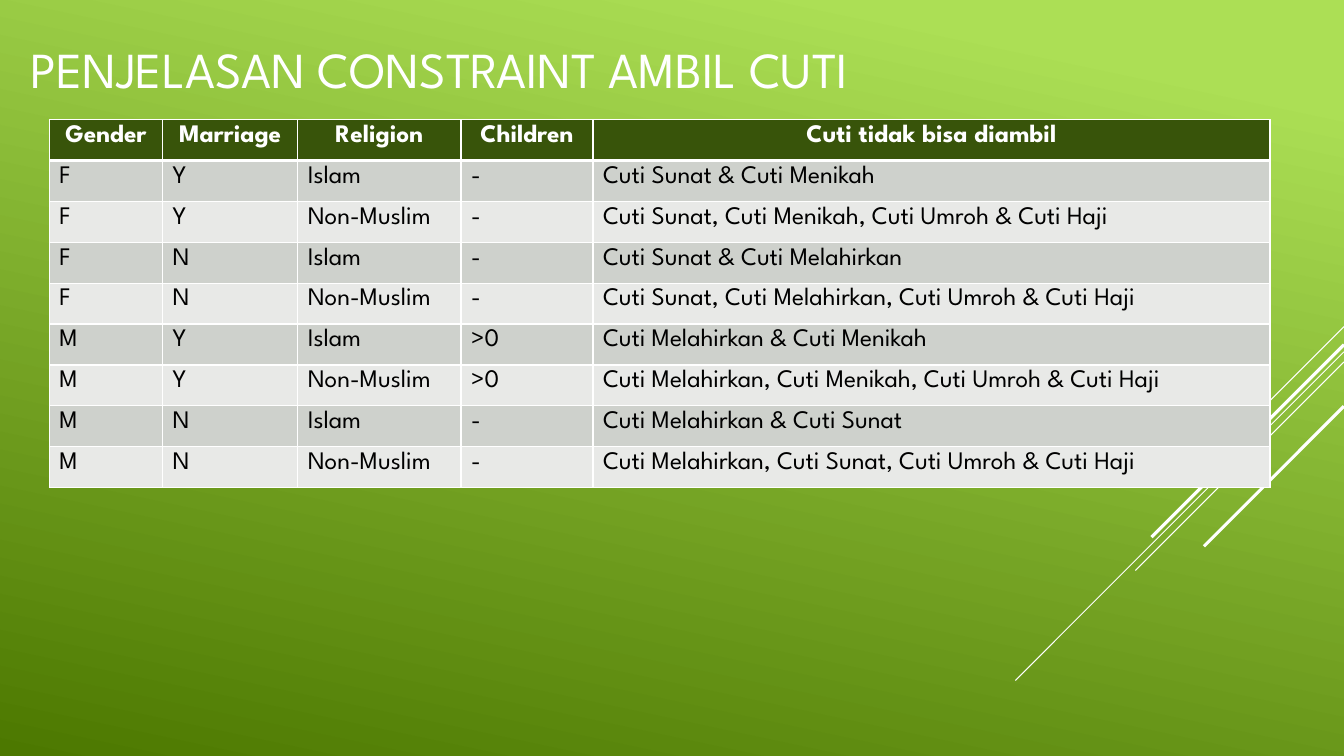
import pptx
import pptx.dml.color
import pptx.enum.shapes
import pptx.enum.text
import pptx.oxml
import pptx.oxml.ns
import pptx.util

Pt = pptx.util.Pt
ALIGN = pptx.enum.text.PP_ALIGN
ANCHOR = pptx.enum.text.MSO_ANCHOR

COLORS = {
    "light": "ACDF55",
    "dark": "4C7800",
    "white": "FFFFFF",
    "black": "000000",
    "header": "38540A",
    "odd": "CED1CC",
    "even": "E8E9E7",
}
SLIDE_WIDTH, SLIDE_HEIGHT = 960, 540

# Diagonals run down and left from the right edge: start height, run, width
DIAGONALS = [
    (233.3, 72, 0.75),
    (251.3, 234.7, 0.75),
    (258.5, 149, 0.75),
    (246.2, 137.5, 2.25),
    (290.2, 100, 2.25),
]
COLUMN_WIDTHS = [80.9, 96.5, 116.6, 94.3, 483.7]
ROW_HEIGHT = 29.2
LEAVE_RULES = [
    ("Gender", "Marriage", "Religion", "Children", "Cuti tidak bisa diambil"),
    ("F", "Y", "Islam", "-", "Cuti Sunat & Cuti Menikah"),
    ("F", "Y", "Non-Muslim", "-", "Cuti Sunat, Cuti Menikah, Cuti Umroh & Cuti Haji"),
    ("F", "N", "Islam", "-", "Cuti Sunat & Cuti Melahirkan"),
    ("F", "N", "Non-Muslim", "-", "Cuti Sunat, Cuti Melahirkan, Cuti Umroh & Cuti Haji"),
    ("M", "Y", "Islam", ">0", "Cuti Melahirkan & Cuti Menikah"),
    ("M", "Y", "Non-Muslim", ">0", "Cuti Melahirkan, Cuti Menikah, Cuti Umroh & Cuti Haji"),
    ("M", "N", "Islam", "-", "Cuti Melahirkan & Cuti Sunat"),
    ("M", "N", "Non-Muslim", "-", "Cuti Melahirkan, Cuti Sunat, Cuti Umroh & Cuti Haji"),
]


def rgb(name):
    return pptx.dml.color.RGBColor.from_string(COLORS[name])


class SlideBuilder:
    font_name = "League Spartan"

    def __init__(self, slide):
        self.slide = slide

    def background(self):
        fill = self.slide.background.fill
        fill.gradient()
        fill.gradient_angle = 258
        for stop, position, color in zip(fill.gradient_stops, (0.1, 1), ("light", "dark")):
            stop.position = position
            stop.color.rgb = rgb(color)

    def add_text(self, frame, text, size, color, align, bold=False):
        paragraph = frame.paragraphs[0]
        paragraph.alignment = align
        run = paragraph.add_run()
        run.text = text
        formats = {"name": self.font_name, "size": Pt(size), "bold": bold}
        for attribute, value in formats.items():
            setattr(run.font, attribute, value)
        run.font.color.rgb = rgb(color)

    def title(self, text, left, top, width, height):
        shape = self.slide.shapes.title
        position = {"left": left, "top": top, "width": width, "height": height}
        for attribute, value in position.items():
            setattr(shape, attribute, Pt(value))
        formats = {
            "word_wrap": True,
            "auto_size": pptx.enum.text.MSO_AUTO_SIZE.NONE,
            "vertical_anchor": ANCHOR.MIDDLE,
        }
        for attribute, value in formats.items():
            setattr(shape.text_frame, attribute, value)
        self.add_text(shape.text_frame, text, 36, "white", ALIGN.LEFT)

    def diagonal(self, top, run, width):
        connector = self.slide.shapes.add_connector(
            pptx.enum.shapes.MSO_CONNECTOR.STRAIGHT,
            Pt(SLIDE_WIDTH), Pt(top), Pt(SLIDE_WIDTH - run), Pt(top + run))
        connector.line.color.rgb = rgb("white")
        connector.line.width = Pt(width)
        properties = connector._element.spPr
        properties.append(pptx.oxml.parse_xml(
            f'<a:effectLst {pptx.oxml.ns.nsdecls("a")}/>'))

    def borders(self, cell, widths):
        """Add white borders; widths maps the sides L, R, T, B to points."""
        properties = cell._tc.get_or_add_tcPr()
        for side, width in widths.items():
            properties.append(pptx.oxml.parse_xml(
                f'<a:ln{side} {pptx.oxml.ns.nsdecls("a")} w="{Pt(width)}">'
                f'<a:solidFill><a:srgbClr val="{COLORS["white"]}"/></a:solidFill>'
                f'</a:ln{side}>'))

    def table(self, rows, left, top):
        table = self.slide.shapes.add_table(
            len(rows), len(COLUMN_WIDTHS), Pt(left), Pt(top),
            Pt(sum(COLUMN_WIDTHS)), Pt(ROW_HEIGHT * len(rows))).table
        for column, width in zip(table.columns, COLUMN_WIDTHS):
            column.width = Pt(width)
        for row_index, values in enumerate(rows):
            table.rows[row_index].height = Pt(ROW_HEIGHT)
            header = row_index == 0
            fill = "header" if header else ("even", "odd")[row_index % 2]
            widths = {"L": 1, "R": 1, "T": 3 if row_index == 1 else 1, "B": 3 if header else 1}
            for column_index, text in enumerate(values):
                cell = table.cell(row_index, column_index)
                self.borders(cell, widths)
                cell.fill.solid()
                cell.fill.fore_color.rgb = rgb(fill)
                self.add_text(cell.text_frame, text, 18, "white" if header else "black",
                              ALIGN.CENTER if header else ALIGN.LEFT, bold=header)


def main():
    presentation = pptx.Presentation()
    presentation.slide_width = Pt(SLIDE_WIDTH)
    presentation.slide_height = Pt(SLIDE_HEIGHT)
    title_only = presentation.slide_layouts[5]
    builder = SlideBuilder(presentation.slides.add_slide(title_only))
    builder.background()
    for diagonal in DIAGONALS:
        builder.diagonal(*diagonal)
    builder.title("PENJELASAN CONSTRAINT AMBIL CUTI", 14.4, -10.8, 671.8, 118.8)
    builder.table(LEAVE_RULES, 35.3, 85.5)
    presentation.save("out.pptx")


if __name__ == "__main__":
    main()
